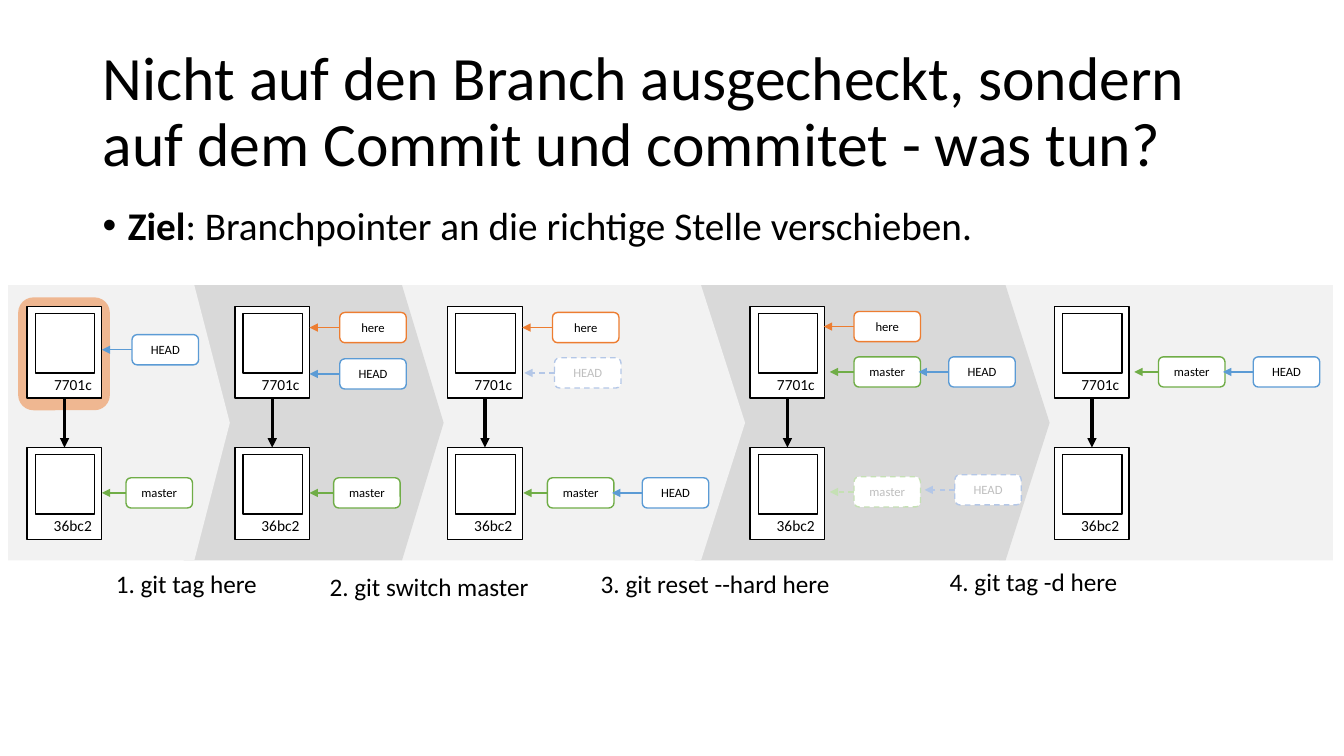
from lxml import etree
from pptx import Presentation
from pptx import util as u
from pptx.dml import color
from pptx.enum import dml, shapes, text
from pptx.oxml import ns

PX = 9144  # EMU per px, 100 px to the inch
INK = {
    "black": "000000", "white": "FFFFFF", "light": "F2F2F2", "mid": "D9D9D9",
    "orange": "ED7D31", "green": "70AD47", "blue": "5B9BD5",
    "pale green": "C5E0B4", "pale blue": "B4C7E7", "gray": "BFBFBF",
}
KIND = shapes.MSO_SHAPE
ALIGN = text.PP_ALIGN
ANCHOR = text.MSO_ANCHOR
FIT = text.MSO_AUTO_SIZE


def rgb(name):
    return color.RGBColor.from_string(INK[name])


def emu(*px):
    return [u.Emu(v * PX) for v in px]


class Board:
    def __init__(self, deck):
        self.slide = deck.slides.add_slide(deck.slide_layouts[5])
        self.root = self.into = self.slide.shapes
        self.face = "Calibri"

    def group(self):
        self.into = self.root.add_group_shape().shapes

    def ungroup(self):
        self.into = self.root

    def words(self, par, words, size, ink="black", bold=False):
        run = par.add_run()
        run.text = words
        look = {"name": self.face, "size": u.Pt(size), "bold": bold}
        for key, value in look.items():
            setattr(run.font, key, value)
        run.font.color.rgb = rgb(ink)

    def frame(self, item, **form):
        for key, value in form.items():
            setattr(item.text_frame, key, value)
        return item.text_frame.paragraphs[0]

    def title(self, words, *box):
        item = self.root.title
        item.left, item.top, item.width, item.height = emu(*box)
        par = self.frame(item, vertical_anchor=ANCHOR.MIDDLE, word_wrap=True,
                         auto_size=FIT.NONE)
        par.alignment, par.line_spacing = ALIGN.LEFT, 0.9
        self.words(par, words, 44)

    def bullet(self, lead, rest, *box):
        item = self.into.add_textbox(*emu(*box))
        par = self.frame(item, word_wrap=True)
        props = par._p.get_or_add_pPr()
        props.set("marL", str(25 * PX))
        props.set("indent", str(-25 * PX))
        etree.SubElement(props, ns.qn("a:buFont")).set("typeface", "Arial")
        etree.SubElement(props, ns.qn("a:buChar")).set("char", "•")
        par.line_spacing = 0.9
        self.words(par, lead, 28, bold=True)
        self.words(par, rest, 28)

    def label(self, words, *box):
        item = self.into.add_textbox(*emu(*box))
        par = self.frame(item, word_wrap=False, auto_size=FIT.SHAPE_TO_FIT_TEXT)
        self.words(par, words, 18)

    def stroke(self, line, ink, width=1, dash=False):
        line.color.rgb = rgb(ink)
        line.width = u.Pt(width)
        if dash:
            line.dash_style = dml.MSO_LINE.DASH

    def shape(self, kind, box, fill, line=None, dash=False):
        item = self.into.add_shape(kind, *emu(*box))
        item.shadow.inherit = False
        item.fill.solid()
        item.fill.fore_color.rgb = rgb(fill)
        if line:
            self.stroke(item.line, line, dash=dash)
        else:
            item.line.fill.background()
        return item

    def band(self, kind, fill, *box):
        item = self.shape(kind, box, fill)
        if kind == KIND.PENTAGON:
            item.adjustments[0] = 0.16

    def glow(self, *box):
        item = self.shape(KIND.ROUNDED_RECTANGLE, box, "orange")
        tint = item._element.spPr.find(".//" + ns.qn("a:srgbClr"))
        etree.SubElement(tint, ns.qn("a:alpha")).set("val", "50000")

    def arrow(self, ends, ink, width=1, dash=False):
        item = self.into.add_connector(shapes.MSO_CONNECTOR.STRAIGHT, *emu(*ends))
        self.stroke(item.line, ink, width, dash)
        props = item._element.spPr
        tip = etree.SubElement(props.find(ns.qn("a:ln")), ns.qn("a:tailEnd"))
        tip.set("type", "triangle")
        etree.SubElement(props, ns.qn("a:effectLst"))

    def commit(self, code, x, y):
        card = self.shape(KIND.RECTANGLE, (x, y, 74, 91), "white", "black")
        par = self.frame(card, vertical_anchor=ANCHOR.BOTTOM)
        par.alignment = ALIGN.RIGHT
        self.words(par, code, 11)
        self.shape(KIND.RECTANGLE, (x + 8, y + 7, 59, 59), "white", "black")

    def tag(self, name, x, y, faded=False):
        ink, gap = TAGS[name]
        ink = "pale " + ink if faded else ink
        item = self.shape(KIND.ROUNDED_RECTANGLE, (x, y, 66, 30), "white", ink, faded)
        par = self.frame(item, vertical_anchor=ANCHOR.MIDDLE)
        par.alignment = ALIGN.CENTER
        self.words(par, name, 9, "gray" if faded else "black")
        self.arrow((x, y + 15, x - gap, y + 15), ink, dash=faded)


# Tag colour and arrow length
TAGS = {"master": ("green", 24), "HEAD": ("blue", 30), "here": ("orange", 30)}

# Background bands, back to front: kind, fill, left, width
BANDS = [
    (KIND.RECTANGLE, "light", 991, 331),
    (KIND.PENTAGON, "mid", 689, 352),
    (KIND.PENTAGON, "light", 398, 341),
    (KIND.PENTAGON, "mid", 182, 258),
    (KIND.PENTAGON, "light", 8, 220),
]

# Stages: left edge, then tags as name, offset from left, top, faded
STAGES = [
    (27, [("master", 98, 474), ("HEAD", 104, 332)]),
    (233, [("master", 98, 474), ("HEAD", 104, 356), ("here", 104, 310)]),
    (444, [("master", 99, 474), ("HEAD", 193, 474), ("here", 104, 310),
           ("HEAD", 106, 355, True)]),
    (744, [("master", 103, 354), ("HEAD", 197, 354), ("here", 103, 309),
           ("HEAD", 203, 471, True), ("master", 103, 473, True)]),
    (1046, [("master", 103, 354), ("HEAD", 197, 354)]),
]

STEPS = [
    ("1. git tag here", 105, 559, 162),
    ("2. git switch master", 317, 562, 220),
    ("3. git reset --hard here", 586, 559, 250),
    ("4. git tag -d here", 932, 557, 189),
]


def main():
    deck = Presentation()
    deck.slide_width, deck.slide_height = emu(1333, 750)
    board = Board(deck)

    # Bands
    for kind, fill, x, wide in BANDS:
        board.band(kind, fill, x, 283, wide, 273)

    # Heading and goal
    board.title("Nicht auf den Branch ausgecheckt, sondern auf dem Commit "
                "und commitet - was tun?", 92, 40, 1150, 145)
    board.bullet("Ziel", ": Branchpointer an die richtige Stelle verschieben.",
                 92, 200, 1150, 60)

    # Commit graphs
    for place, (x, tags) in enumerate(STAGES):
        board.group()
        if place == 0:
            board.glow(x - 9, 295, 91, 112)
        board.commit("36bc2", x, 444)
        board.commit("7701c", x, 304)
        board.arrow((x + 37, 395, x + 37, 444), "black", 2.25)
        for name, shift, y, *faded in tags:
            board.tag(name, x + shift, y, *faded)
    board.ungroup()

    # Commands
    for words, x, y, wide in STEPS:
        board.label(words, x, y, wide, 40)

    deck.save("out.pptx")


if __name__ == "__main__":
    main()
